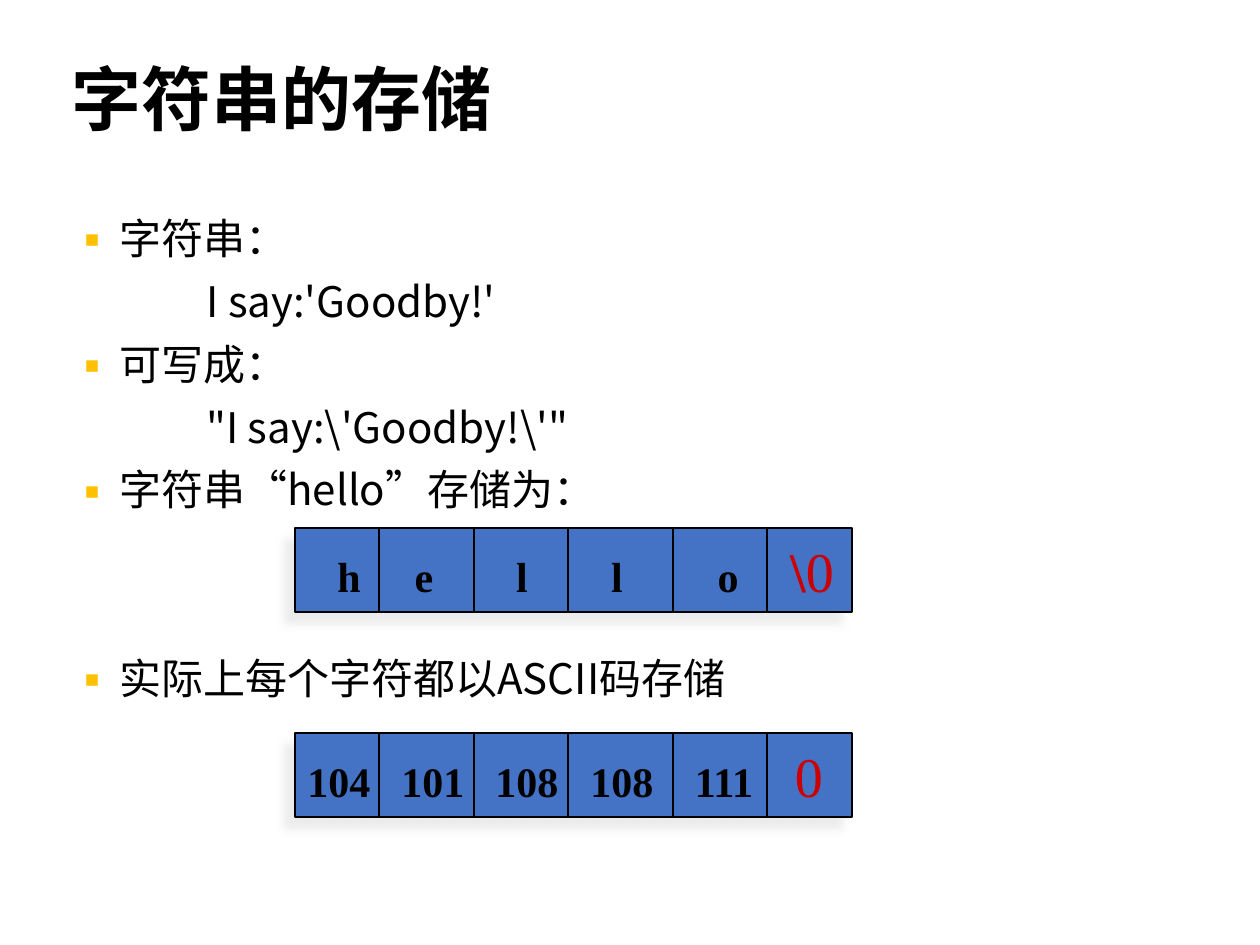
"""Build the slide on how strings are stored as characters and ASCII codes."""
from lxml.etree import SubElement
from pptx import Presentation
from pptx.dml.color import RGBColor
from pptx.enum.shapes import MSO_CONNECTOR, MSO_SHAPE
from pptx.enum.text import MSO_ANCHOR, PP_ALIGN
from pptx.oxml.ns import qn
from pptx.util import Pt

PX = 914400 / 126
CJK = "Noto Sans CJK SC"
TITLE = "字符串的存储"
TITLE_BOX = (59, 59, 1134, 124)
BODY_BOX = (59, 212, 1142, 656)
BODY = [
    {"text": "字符串：", "bullet": True, "before": 10},
    {"text": "I say:'Goodby!'", "bullet": False, "before": 10},
    {"text": "可写成：", "bullet": True, "before": 10},
    {"text": "\"I say:\\'Goodby!\\'\"", "bullet": False, "before": 10},
    {"text": "字符串“hello”存储为：", "bullet": True, "before": 10},
    {"text": "实际上每个字符都以ASCII码存储", "bullet": True, "before": 82},
]
STRIP_LEFT, STRIP_WIDTH, STRIP_HEIGHT = 295, 557, 84
DIVIDERS = [379, 474, 568, 673, 767]
STRIPS = [
    {"top": 528, "cells": ["h", "e", "l", "l", "o"],
     "end": [("\\", True), ("0", False)],
     "centres": [349, 424, 522, 617, 728, 812]},
    {"top": 733, "cells": ["104", "101", "108", "108", "111"],
     "end": [("0", False)],
     "centres": [339, 433, 527, 622, 724, 809]},
]


def px(length):
    return round(length * PX)


def colour(value):
    return RGBColor.from_string(value)


def place(shape, box):
    shape.left, shape.top, shape.width, shape.height = map(px, box)


def style(run, font, size, bold=False, ink="000000"):
    run.font.name, run.font.size, run.font.bold = font, Pt(size), bold
    run.font.color.rgb = colour(ink)


def set_east_asian(run):
    SubElement(run.font._element, qn("a:ea"), typeface=CJK)


def add_title(slide):
    title = slide.shapes.title
    place(title, TITLE_BOX)
    frame = title.text_frame
    frame.text = TITLE
    frame.vertical_anchor = MSO_ANCHOR.TOP
    heading = frame.paragraphs[0]
    heading.alignment, heading.line_spacing = PP_ALIGN.LEFT, 0.9
    style(heading.runs[0], "Calibri", 40, True)
    set_east_asian(heading.runs[0])


def add_body(slide):
    frame = slide.shapes.add_textbox(*map(px, BODY_BOX)).text_frame
    frame.word_wrap = True
    frame.text = "\n".join(item["text"] for item in BODY)
    for item, paragraph in zip(BODY, frame.paragraphs):
        paragraph.line_spacing, paragraph.space_before = 0.9, Pt(item["before"])
        style(paragraph.runs[0], CJK, 24)
        set_east_asian(paragraph.runs[0])
        props = paragraph._p.get_or_add_pPr()
        props.set("marL", str(px(48 if item["bullet"] else 135)))
        props.set("indent", str(px(-48 if item["bullet"] else 0)))
        if item["bullet"]:
            SubElement(SubElement(props, qn("a:buClr")), qn("a:srgbClr"), val="FFC000")
            SubElement(props, qn("a:buFont"), typeface=CJK)
            SubElement(props, qn("a:buChar"), char="▪")


def add_shadow(shape):
    effects = shape._element.spPr.find(qn("a:effectLst"))
    shadow = SubElement(effects, qn("a:outerShdw"), blurRad=str(Pt(5)),
                        dist=str(Pt(8.5)), dir="8100000", algn="ctr", rotWithShape="0")
    tint = SubElement(shadow, qn("a:srgbClr"), val="E7E6E6")
    SubElement(tint, qn("a:alpha"), val="75000")


def write_cells(strip, bar):
    frame = bar.text_frame
    frame.word_wrap, frame.vertical_anchor = True, MSO_ANCHOR.MIDDLE
    frame.margin_left = frame.margin_right = 0
    frame.text = "".join("\t" + cell for cell in strip["cells"]) + "\t"
    line = frame.paragraphs[0]
    line.alignment = PP_ALIGN.LEFT
    style(line.runs[0], "Times New Roman", 24, True)
    for text, bold in strip["end"]:
        run = line.add_run()
        run.text = text
        style(run, "Times New Roman", 32, bold, "CC0000")
    tabs = SubElement(line._p.get_or_add_pPr(), qn("a:tabLst"))
    for centre in strip["centres"]:
        SubElement(tabs, qn("a:tab"), pos=str(px(centre - STRIP_LEFT)), algn="ctr")


def add_strip(slide, strip):
    shapes = slide.shapes.add_group_shape().shapes
    top, bottom = px(strip["top"]), px(strip["top"] + STRIP_HEIGHT)
    bar = shapes.add_shape(MSO_SHAPE.RECTANGLE, px(STRIP_LEFT), top,
                           px(STRIP_WIDTH), px(STRIP_HEIGHT))
    bar.fill.solid()
    bar.fill.fore_color.rgb = colour("4472C4")
    bar.line.color.rgb, bar.line.width = colour("000000"), Pt(0.75)
    bar.shadow.inherit = False
    add_shadow(bar)
    write_cells(strip, bar)
    for x in DIVIDERS:
        divider = shapes.add_connector(MSO_CONNECTOR.STRAIGHT, px(x), top, px(x), bottom)
        divider.line.color.rgb, divider.line.width = colour("000000"), Pt(0.75)
        SubElement(divider._element.spPr, qn("a:effectLst"))


def main():
    deck = Presentation()
    deck.slide_width, deck.slide_height = px(1260), px(945)
    slide = deck.slides.add_slide(deck.slide_layouts[5])
    add_title(slide)
    add_body(slide)
    for strip in STRIPS:
        add_strip(slide, strip)
    deck.save("out.pptx")


if __name__ == "__main__":
    main()
